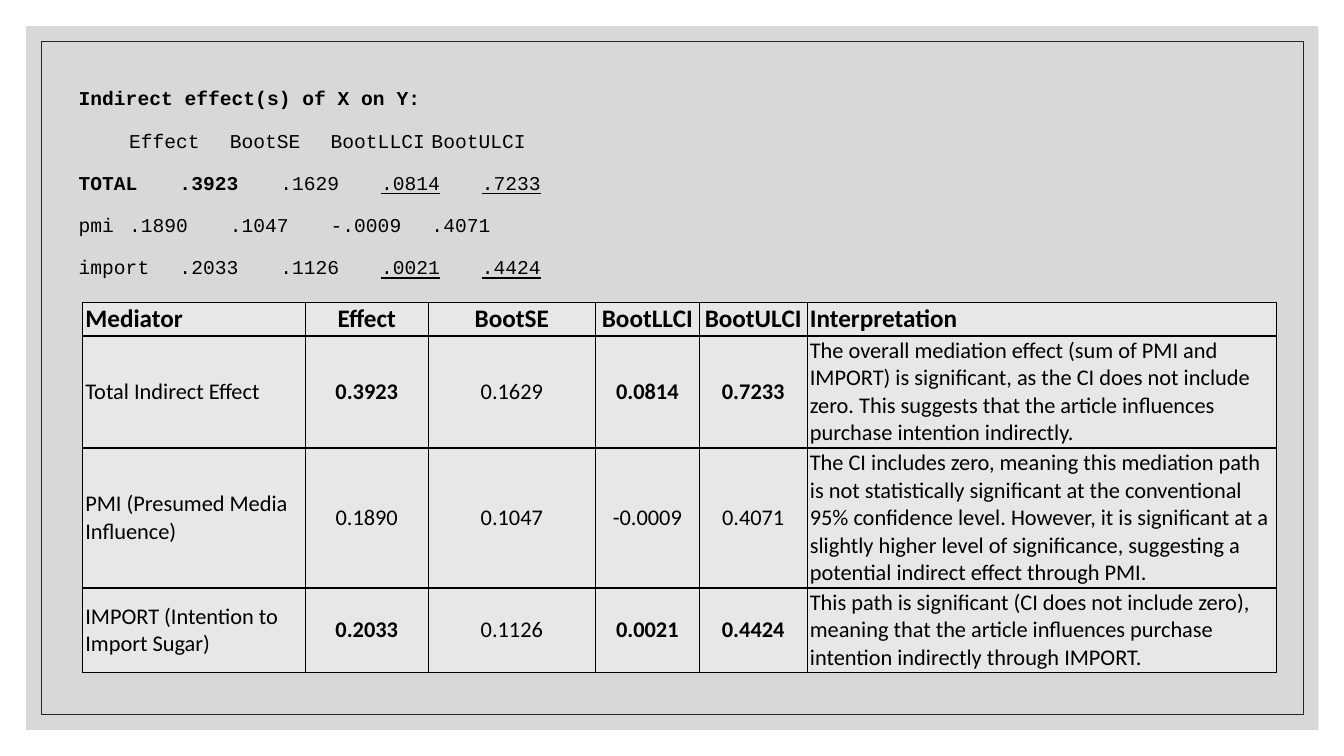
"""Build a slide that reports indirect effects as program output and as an interpreted table."""
from lxml.etree import SubElement
from pptx import Presentation
from pptx.dml.color import RGBColor
from pptx.enum.shapes import MSO_SHAPE
from pptx.enum.text import MSO_ANCHOR, MSO_AUTO_SIZE, PP_ALIGN
from pptx.oxml import parse_xml
from pptx.oxml.ns import nsdecls, qn
from pptx.util import Pt


def color(hex_string):
    return RGBColor.from_string(hex_string)


def add_run(paragraph, text, font_name, size, bold=False, underline=False):
    run = paragraph.add_run()
    run.text = text
    run.font.name = font_name
    run.font.size = Pt(size)
    run.font.bold = bold
    run.font.underline = underline
    run.font.color.rgb = color("000000")


presentation = Presentation()
presentation.slide_width = Pt(960)
presentation.slide_height = Pt(540)
slide = presentation.slides.add_slide(presentation.slide_layouts[1])
title = slide.shapes.title
title.element.getparent().remove(title.element)
output_text = slide.placeholders[1]

panel = slide.shapes.add_shape(MSO_SHAPE.RECTANGLE, Pt(18.7), Pt(18.7), Pt(923), Pt(502.6))
panel.shadow.inherit = False
panel.fill.solid()
panel.fill.fore_color.rgb = color("BFBFBF")
panel.line.fill.background()
panel_color = panel.element.spPr.find(qn("a:solidFill"))[0]
SubElement(panel_color, qn("a:alpha"), val="60000")

frame = slide.shapes.add_shape(MSO_SHAPE.RECTANGLE, Pt(29.5), Pt(29.5), Pt(901.6), Pt(481))
frame.shadow.inherit = False
frame.fill.background()
frame.line.color.rgb = color("262626")
frame.line.width = Pt(0.5)

slide.shapes.element.append(output_text.element)
output_text.left, output_text.top = Pt(49), Pt(54.7)
output_text.width, output_text.height = Pt(792), Pt(303)
text_frame = output_text.text_frame
text_frame.auto_size = MSO_AUTO_SIZE.NONE
text_frame.vertical_anchor = MSO_ANCHOR.TOP
text_frame.word_wrap = True

# Each run is (text, bold, underline).
output_lines = [
    [("Indirect effect(s) of X on Y:", True, False)],
    [("\tEffect\tBootSE\tBootLLCI\tBootULCI", False, False)],
    [("TOTAL\t.3923", True, False), ("\t.1629\t", False, False), (".0814\t.7233", False, True)],
    [("pmi\t.1890\t.1047\t-.0009\t.4071", False, False)],
    [("import\t.2033\t.1126\t", False, False), (".0021\t.4424", False, True)],
]
character_width = 8.4
column_ends = [17, 28, 39, 50]
for index, line_runs in enumerate(output_lines):
    paragraph = text_frame.paragraphs[0] if index == 0 else text_frame.add_paragraph()
    paragraph.line_spacing = 1.2
    paragraph.space_before = Pt(10)
    properties = paragraph._p.get_or_add_pPr()
    properties.set("marL", "0")
    properties.set("indent", "0")
    SubElement(properties, qn("a:buNone"))
    tab_stops = SubElement(properties, qn("a:tabLst"))
    for column_end in column_ends:
        SubElement(tab_stops, qn("a:tab"), pos=str(Pt(column_end * character_width)), algn="r")
    for text, bold, underline in line_runs:
        add_run(paragraph, text, "Courier New", 14, bold, underline)

table_rows = [
    ["Mediator", "Effect", "BootSE", "BootLLCI", "BootULCI", "Interpretation"],
    ["Total Indirect Effect", "0.3923", "0.1629", "0.0814", "0.7233",
     "The overall mediation effect (sum of PMI and IMPORT) is significant, as the CI does not "
     "include zero. This suggests that the article influences purchase intention indirectly."],
    ["PMI (Presumed Media Influence)", "0.1890", "0.1047", "-0.0009", "0.4071",
     "The CI includes zero, meaning this mediation path is not statistically significant at the "
     "conventional 95% confidence level. However, it is significant at a slightly higher level "
     "of significance, suggesting a potential indirect effect through PMI."],
    ["IMPORT (Intention to Import Sugar)", "0.2033", "0.1126", "0.0021", "0.4424",
     "This path is significant (CI does not include zero), meaning that the article influences "
     "purchase intention indirectly through IMPORT."],
]
column_widths = [159.1, 87.8, 119.5, 74.2, 77, 335.5]
row_heights = [24, 80, 100, 60.5]
bold_columns = [range(6), (1, 3, 4), (), (1, 3, 4)]

table = slide.shapes.add_table(
    len(table_rows), len(column_widths), Pt(59), Pt(216),
    Pt(sum(column_widths)), Pt(sum(row_heights))).table
for column, width in zip(table.columns, column_widths):
    column.width = Pt(width)
for row, height in zip(table.rows, row_heights):
    row.height = Pt(height)

for row_index, row_texts in enumerate(table_rows):
    for column_index, text in enumerate(row_texts):
        cell = table.cell(row_index, column_index)
        cell.fill.solid()
        cell.fill.fore_color.rgb = color("E7E7E7")
        cell.vertical_anchor = MSO_ANCHOR.MIDDLE
        cell.margin_left = cell.margin_right = Pt(2)
        cell.margin_top = cell.margin_bottom = Pt(0.7)
        paragraph = cell.text_frame.paragraphs[0]
        paragraph.alignment = PP_ALIGN.CENTER if 1 <= column_index <= 4 else PP_ALIGN.LEFT
        add_run(paragraph, text, "Calibri", 18 if row_index == 0 else 16,
                column_index in bold_columns[row_index])
        cell_properties = cell._tc.get_or_add_tcPr()
        for position, side in enumerate(("lnL", "lnR", "lnT", "lnB")):
            cell_properties.insert(position, parse_xml(
                f'<a:{side} {nsdecls("a")} w="{Pt(1)}"><a:solidFill>'
                f'<a:srgbClr val="000000"/></a:solidFill></a:{side}>'))

presentation.save("out.pptx")
